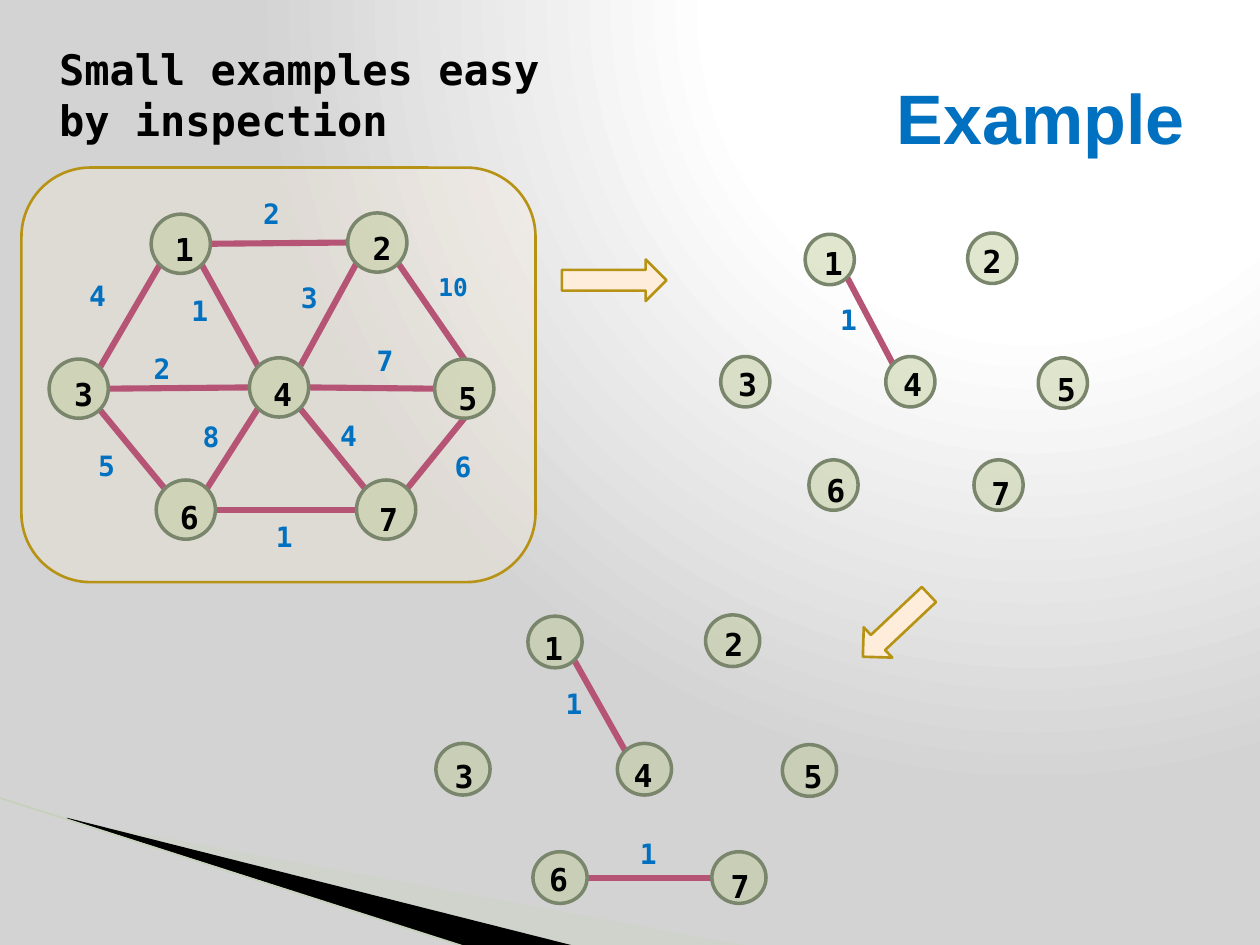
from pptx import Presentation
from pptx.dml.color import RGBColor
from pptx.enum.shapes import MSO_CONNECTOR, MSO_SHAPE
from pptx.enum.text import MSO_ANCHOR, MSO_AUTO_SIZE, PP_ALIGN
from pptx.oxml import parse_xml
from pptx.oxml.ns import nsdecls, qn
from pptx.util import Inches, Pt
from lxml import etree

LINE = MSO_CONNECTOR.STRAIGHT
OVAL, PANEL, ARROW = MSO_SHAPE.OVAL, MSO_SHAPE.ROUNDED_RECTANGLE, MSO_SHAPE.RIGHT_ARROW
FIT, MIDDLE, RIGHT = MSO_AUTO_SIZE.SHAPE_TO_FIT_TEXT, MSO_ANCHOR.MIDDLE, PP_ALIGN.RIGHT

BLACK = RGBColor(0x00, 0x00, 0x00)
BLUE = RGBColor(0x00, 0x70, 0xC0)
CREAM = RGBColor(0xFD, 0xED, 0xDA)
GOLD = RGBColor(0xB7, 0x93, 0x15)
GREEN = RGBColor(0xBE, 0xCB, 0x95)
MOSS = RGBColor(0x7A, 0x86, 0x6C)
ROSE = RGBColor(0xB5, 0x54, 0x75)
PALE = RGBColor(0xCB, 0xD4, 0xC0)
SAGE = RGBColor(0xC6, 0xD0, 0xBB)
MONO, SANS = "DejaVu Sans Mono", "Arial"

TITLE = "Example"
INTRO = ["Small examples easy", "by inspection"]

# Nodes: circle left and top, then offset of its label
# Edges: node, side, node, side, weight, left and top of the weight
GRAPHS = [
    {
        "size": (0.47, 0.47), "label": (0.41, 0.32), "panel": (0.17, 1.33, 4.08, 3.29),
        "nodes": {
            1: (1.2, 1.7, 0.09, 0.08), 2: (2.76, 1.69, 0.1, 0.08),
            3: (0.39, 2.85, 0.1, 0.08), 4: (1.98, 2.84, 0.09, 0.09),
            5: (3.45, 2.85, 0.09, 0.11), 6: (1.24, 3.81, 0.09, 0.09),
            7: (2.83, 3.81, 0.08, 0.11),
        },
        "edges": [
            (4, "SW", 6, "NE", 8, 1.51, 3.28), (4, "W", 3, "E", 2, 1.12, 2.74),
            (1, "SW", 3, "NE", 4, 0.61, 2.16), (2, "SW", 4, "NE", 3, 2.29, 2.18),
            (1, "SE", 4, "NW", 1, 1.42, 2.28), (1, "E", 2, "W", 2, 1.99, 1.51),
            (2, "SE", 5, "N", 10, 3.38, 2.11), (5, "W", 4, "E", 7, 2.89, 2.68),
            (3, "SE", 6, "NW", 5, 0.68, 3.51), (4, "SE", 7, "NW", 4, 2.6, 3.27),
            (5, "S", 7, "NE", 6, 3.51, 3.52), (7, "W", 6, "E", 1, 2.09, 4.07),
        ],
    },
    {
        "size": (0.39, 0.4), "label": (0.34, 0.27), "panel": None,
        "nodes": {
            1: (6.39, 1.86, 0.05, 0.03), 2: (7.68, 1.85, 0.02, 0.02),
            3: (5.72, 2.83, 0.04, 0.02), 4: (7.03, 2.83, 0.04, 0.02),
            5: (8.24, 2.84, 0.05, 0.05), 6: (6.42, 3.65, 0.04, 0.04),
            7: (7.73, 3.65, 0.04, 0.06),
        },
        "edges": [(1, "SE", 4, "NW", 1, 6.57, 2.35)],
    },
    {
        "size": (0.43, 0.41), "label": (0.37, 0.29), "panel": None,
        "nodes": {
            1: (4.19, 4.89, 0.03, 0.05), 2: (5.6, 4.88, 0.05, 0.03),
            3: (3.46, 5.9, 0.05, 0.06), 4: (4.9, 5.9, 0.03, 0.05),
            5: (6.21, 5.91, 0.07, 0.05), 6: (4.23, 6.76, 0.03, 0.02),
            7: (5.65, 6.76, 0.05, 0.07),
        },
        "edges": [(1, "SE", 4, "NW", 1, 4.39, 5.4), (6, "E", 7, "W", 1, 4.98, 6.59)],
    },
]
ARROWS = [((4.46, 2.06, 0.83, 0.33), 0), ((6.75, 4.8, 0.72, 0.33), 136.7)]
WEDGES = [
    ([(0.55, 6.51), (5.95, 7.51), (4.56, 7.51), (0.55, 6.5)], PALE, 40),
    ([(0.53, 6.49), (4.57, 7.51), (3.72, 7.52), (0.54, 6.5)], BLACK, 100),
]

# Sides of a circle as unit steps from its centre
DIAG = 0.71
SIDES = {"N": (0, -1), "S": (0, 1), "E": (1, 0), "W": (-1, 0),
         "NE": (DIAG, -DIAG), "NW": (-DIAG, -DIAG), "SE": (DIAG, DIAG), "SW": (-DIAG, DIAG)}

BACK = f"""<a:gradFill {nsdecls('a')} rotWithShape="1"><a:gsLst>
<a:gs pos="0"><a:srgbClr val="FFFFFF"/></a:gs>
<a:gs pos="40000"><a:srgbClr val="FFFFFF"/></a:gs>
<a:gs pos="100000"><a:srgbClr val="D3D3D3"/></a:gs></a:gsLst>
<a:path path="circle"><a:fillToRect l="65000" t="0" r="0" b="98000"/></a:path>
</a:gradFill>"""


def paint(shape, fill, alpha=100, line=None, width=0):
    shape.shadow.inherit = False
    shape.fill.solid()
    shape.fill.fore_color.rgb = fill
    if alpha < 100:
        color = shape.fill._xPr.find(qn("a:solidFill"))[0]
        etree.SubElement(color, qn("a:alpha")).set("val", str(alpha * 1000))
    if line is None:
        shape.line.fill.background()
    else:
        shape.line.color.rgb = line
        shape.line.width = Pt(width)


def add_line(shapes, start, end, color, width):
    line = shapes.add_connector(LINE, *map(Inches, start + end))
    line.line.color.rgb = color
    line.line.width = Pt(width)
    etree.SubElement(line.element.spPr, qn("a:effectLst"))


def add_text(shapes, box, lines, size, color, font=MONO):
    frame = shapes.add_textbox(*map(Inches, box)).text_frame
    frame.word_wrap = True
    frame.text = "\n".join(lines)
    for para in frame.paragraphs:
        for run in para.runs:
            run.font.size, run.font.name, run.font.bold = Pt(size), font, True
            run.font.color.rgb = color
    return frame


def add_tag(shapes, box, value, size, color):
    frame = add_text(shapes, box, [str(value)], size, color)
    frame.auto_size = FIT
    frame.paragraphs[0].space_after = Pt(6)


def add_graph(slide, graph):
    shapes = slide.shapes.add_group_shape().shapes
    nodes, (wide, high) = graph["nodes"], graph["size"]

    def edge_point(node, side):
        left, top = nodes[node][:2]
        dx, dy = SIDES[side]
        return left + wide / 2 * (1 + dx), top + high / 2 * (1 + dy)

    if graph["panel"]:
        panel = shapes.add_shape(PANEL, *map(Inches, graph["panel"]))
        paint(panel, CREAM, 28, GOLD, 1.5)
    for first, out, last, into, weight, left, top in graph["edges"]:
        add_line(shapes, edge_point(first, out), edge_point(last, into), ROSE, 3.5)
        span, size = (0.62, 14) if weight > 9 else (0.41, 16)
        add_tag(shapes, (left, top, span, 0.35), weight, size, BLUE)
    for name, (left, top, dx, dy) in nodes.items():
        disc = shapes.add_shape(OVAL, *map(Inches, (left, top, wide, high)))
        paint(disc, GREEN, 45, MOSS, 2)
        add_tag(shapes, (left + dx, top + dy, *graph["label"]), name, 18, BLACK)


def main():
    deck = Presentation()
    deck.slide_width, deck.slide_height = Inches(10), Inches(7.5)
    slide = deck.slides.add_slide(deck.slide_layouts[6])

    # Background gradient
    slide.background.fill.solid()
    props = slide.element.cSld.bg.bgPr
    props.replace(props[0], parse_xml(BACK))

    # Corner wedges
    for points, color, alpha in WEDGES:
        first, *rest = [(Inches(x), Inches(y)) for x, y in points]
        pen = slide.shapes.build_freeform(*first)
        pen.add_line_segments(rest, close=True)
        paint(pen.convert_to_shape(), color, alpha)
    add_line(slide.shapes, (-0.01, 6.33), (3.71, 7.52), SAGE, 0.95)

    # Intro and title
    intro = add_text(slide.shapes, (0.25, 0.3, 9.25, 6.27), INTRO, 24, BLACK)
    for para in intro.paragraphs:
        para._p.get_or_add_pPr().set("marL", str(Inches(0.12)))
    title = add_text(slide.shapes, (6.44, 0.3, 3.06, 1.25), [TITLE], 40, BLUE, SANS)
    title.vertical_anchor = MIDDLE
    title.paragraphs[0].alignment = RIGHT

    # Graphs and the arrows between them
    for graph in GRAPHS:
        add_graph(slide, graph)
    for box, turn in ARROWS:
        arrow = slide.shapes.add_shape(ARROW, *map(Inches, box))
        arrow.rotation = turn
        paint(arrow, CREAM, 100, GOLD, 1.5)

    deck.save("out.pptx")


if __name__ == "__main__":
    main()
